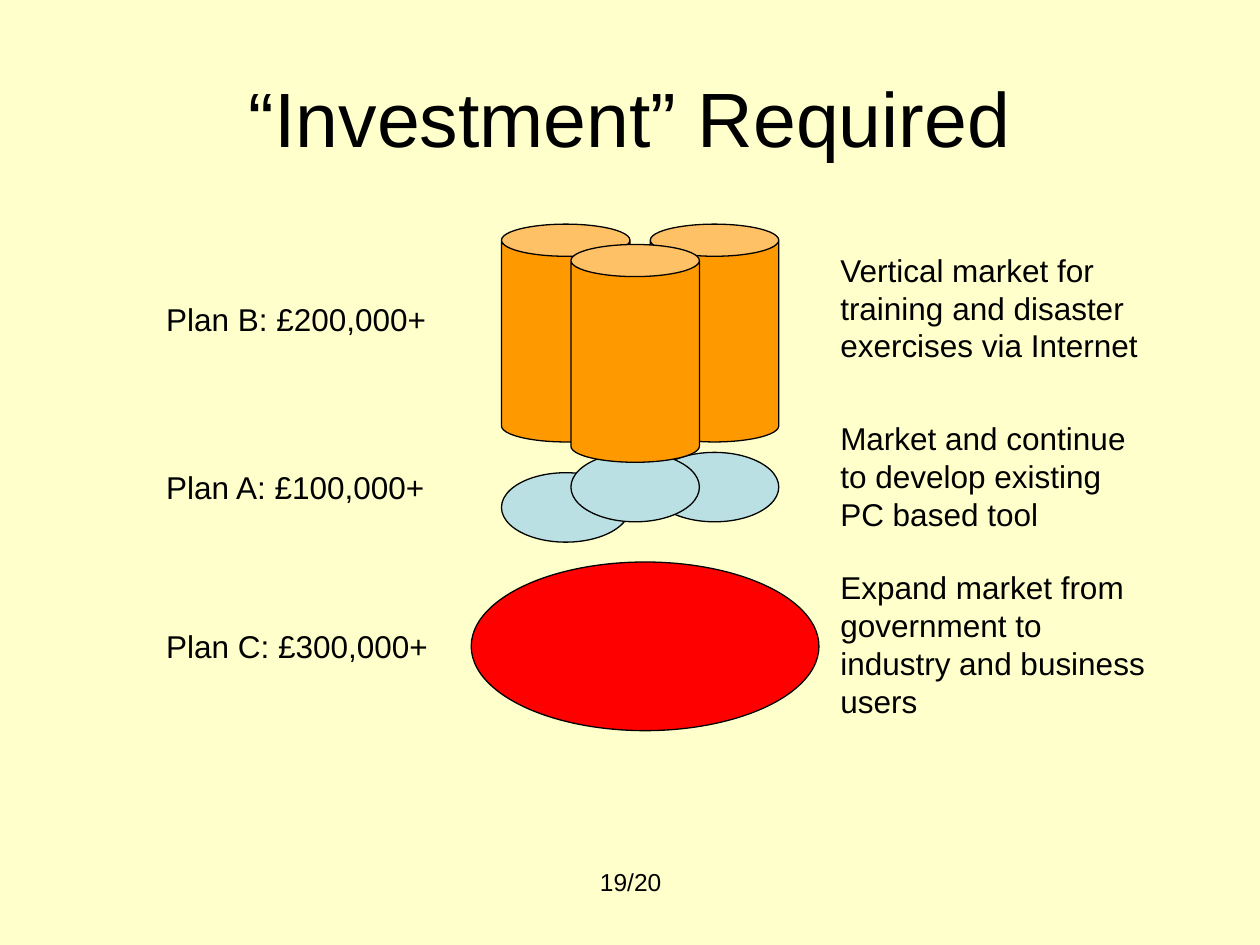
import pptx
import pptx.util
import pptx.dml.color
import pptx.enum.shapes
import pptx.enum.text
from dataclasses import dataclass

Cm, Pt = pptx.util.Cm, pptx.util.Pt
RGB = pptx.dml.color.RGBColor
SHAPE = pptx.enum.shapes.MSO_SHAPE
ALIGN = pptx.enum.text.PP_ALIGN
ANCHOR = pptx.enum.text.MSO_ANCHOR


@dataclass(frozen=True)
class Theme:
    font: str = "Arial"
    background: RGB = RGB(0xFF, 0xFF, 0xCC)
    ink: RGB = RGB(0, 0, 0)
    orange: RGB = RGB(0xFF, 0x99, 0x00)
    blue: RGB = RGB(0xBB, 0xE0, 0xE3)
    red: RGB = RGB(0xFF, 0, 0)
    title: Pt = Pt(44)
    body: Pt = Pt(18)
    footer: Pt = Pt(14)
    outline: Pt = Pt(0.75)


theme = Theme()


def write_text(sp, text, size, align=ALIGN.LEFT, anchor=ANCHOR.TOP):
    tf = sp.text_frame
    tf.word_wrap = True
    tf.vertical_anchor = anchor
    p = tf.paragraphs[0]
    p.text = text
    p.alignment = align
    p.font.name = theme.font
    p.font.size = size
    p.font.color.rgb = theme.ink


def add_solid(kind, left, top, width, height, color):
    sp = slide.shapes.add_shape(kind, Cm(left), Cm(top), Cm(width), Cm(height))
    sp.shadow.inherit = False
    sp.fill.solid()
    sp.fill.fore_color.rgb = color
    sp.line.color.rgb = theme.ink
    sp.line.width = theme.outline


prs = pptx.Presentation()
prs.slide_width, prs.slide_height = Cm(25.4), Cm(19.05)
slide = prs.slides.add_slide(prs.slide_layouts[5])
slide.background.fill.solid()
slide.background.fill.fore_color.rgb = theme.background

# Title
title = slide.shapes.title
title.left, title.top, title.width, title.height = Cm(1.27), Cm(0.76), Cm(22.86), Cm(3.18)
write_text(title, "“Investment” Required", theme.title, ALIGN.CENTER, ANCHOR.MIDDLE)

# Plans: label on the left, description on the right
label_left, description_left = 3.1, 16.69
plans = [
    ("Plan B: £200,000+", 5.92,
     "Vertical market for training and disaster exercises via Internet", 4.93, 2.54),
    ("Plan A: £100,000+", 9.32,
     "Market and continue to develop existing PC based tool", 8.33, 2.54),
    ("Plan C: £300,000+", 12.52,
     "Expand market from government to industry and business users", 11.33, 3.3),
]
for label, label_top, description, top, height in plans:
    sp = slide.shapes.add_textbox(Cm(label_left), Cm(label_top), Cm(6.2), Cm(1.02))
    write_text(sp, label, theme.body)
    sp = slide.shapes.add_textbox(Cm(description_left), Cm(top), Cm(6.81), Cm(height))
    write_text(sp, description, theme.body)

# Plan C base
add_solid(SHAPE.OVAL, 9.5, 11.33, 7.01, 3.4, theme.red)

# Plan A ovals and Plan B cylinders: right, left, then centre in front
column_lefts = [13.11, 10.11, 11.51]
stacks = [
    (SHAPE.OVAL, [9.12, 9.53, 9.12], 1.4, theme.blue),
    (SHAPE.CAN, [4.52, 4.52, 4.93], 4.39, theme.orange),
]
for kind, tops, height, color in stacks:
    for left, top in zip(column_lefts, tops):
        add_solid(kind, left, top, 2.59, height, color)

# Page number
sp = slide.shapes.add_textbox(Cm(8.69), Cm(17.35), Cm(8.05), Cm(1.32))
write_text(sp, "19/20", theme.footer, ALIGN.CENTER)

prs.save("out.pptx")
